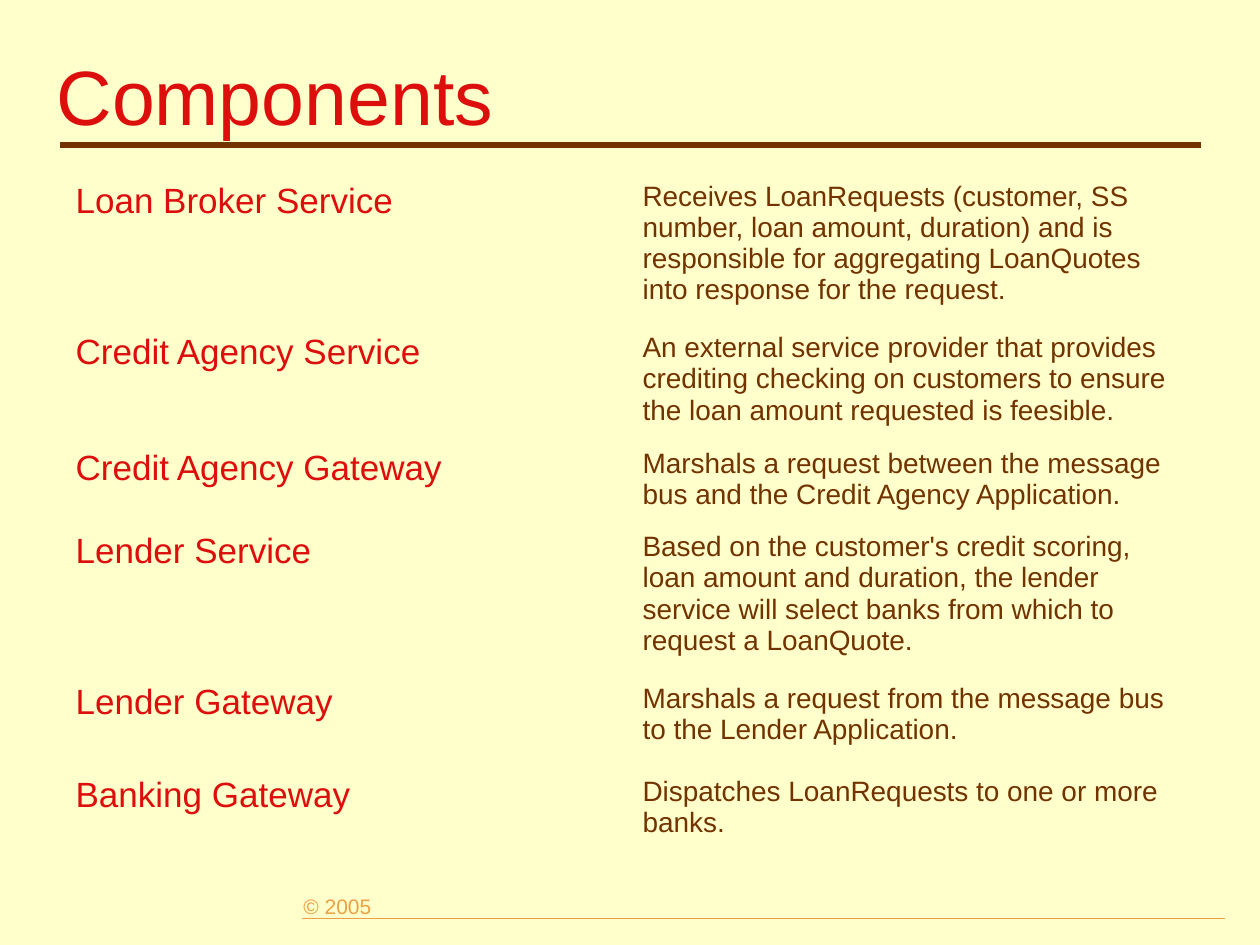
from lxml import etree
from pptx import Presentation
from pptx.dml.color import RGBColor
from pptx.enum.shapes import MSO_CONNECTOR as CONN
from pptx.enum.text import MSO_ANCHOR as ANCHOR
from pptx.oxml.ns import qn
from pptx.util import Inches, Pt

CREAM, RED, BROWN, ORANGE = "FFFFCC", "DC0F0D", "723300", "EDA045"
NO_GRID_STYLE = "{2D5ABB26-0587-4C30-8999-92F81FD0307C}"


def rgb(value):
    return RGBColor.from_string(value)


def write(tf, text, size, color):
    tf.text = text
    font = tf.paragraphs[0].runs[0].font
    font.name, font.size, font.color.rgb = "Arial", Pt(size), rgb(color)


prs = Presentation()
prs.slide_width, prs.slide_height = Inches(10), Inches(7.5)
s = prs.slides.add_slide(prs.slide_layouts[6])
s.background.fill.solid()
s.background.fill.fore_color.rgb = rgb(CREAM)

# Rules under the footer and the title
for x1, x2, y, color, width in [(2.4, 9.72, 7.29, ORANGE, 0.75),
                                (0.48, 9.53, 1.15, BROWN, 3)]:
    rule = s.shapes.add_connector(CONN.STRAIGHT, Inches(x1), Inches(y), Inches(x2), Inches(y))
    rule.line.color.rgb = rgb(color)
    rule.line.width = Pt(width)
    etree.SubElement(rule._element.spPr, qn("a:effectLst"))

# Footer and title
for text, box, size, color, wrap, anchor in [
    ("© 2005", (2.31, 7.04, 0.74, 0.3), 12, ORANGE, False, ANCHOR.TOP),
    ("Components", (0.35, 0.13, 9, 1.25), 44, RED, True, ANCHOR.MIDDLE),
]:
    tf = s.shapes.add_textbox(*map(Inches, box)).text_frame
    tf.word_wrap, tf.vertical_anchor = wrap, anchor
    write(tf, text, size, color)

# Table of components: row height, name, role
rows = [
    (1.2, "Loan Broker Service",
     "Receives LoanRequests (customer, SS number, loan amount, duration) and is "
     "responsible for aggregating LoanQuotes into response for the request."),
    (0.92, "Credit Agency Service",
     "An external service provider that provides crediting checking on customers "
     "to ensure the loan amount requested is feesible."),
    (0.66, "Credit Agency Gateway",
     "Marshals a request between the message bus and the Credit Agency Application."),
    (1.2, "Lender Service",
     "Based on the customer's credit scoring, loan amount and duration, the lender "
     "service will select banks from which to request a LoanQuote."),
    (0.74, "Lender Gateway",
     "Marshals a request from the message bus to the Lender Application."),
    (0.96, "Banking Gateway",
     "Dispatches LoanRequests to one or more banks."),
]
height = sum(row[0] for row in rows)
table = s.shapes.add_table(len(rows), 2, Inches(0.5), Inches(1.39),
                           Inches(9), Inches(height)).table
table.first_row = table.horz_banding = False
table._tbl.tblPr.find(qn("a:tableStyleId")).text = NO_GRID_STYLE

for i, (row_height, name, role) in enumerate(rows):
    table.rows[i].height = Inches(row_height)
    for j, (text, size, color) in enumerate([(name, 20, RED), (role, 16, BROWN)]):
        cell = table.cell(i, j)
        cell.fill.background()
        write(cell.text_frame, text, size, color)

prs.save("out.pptx")
